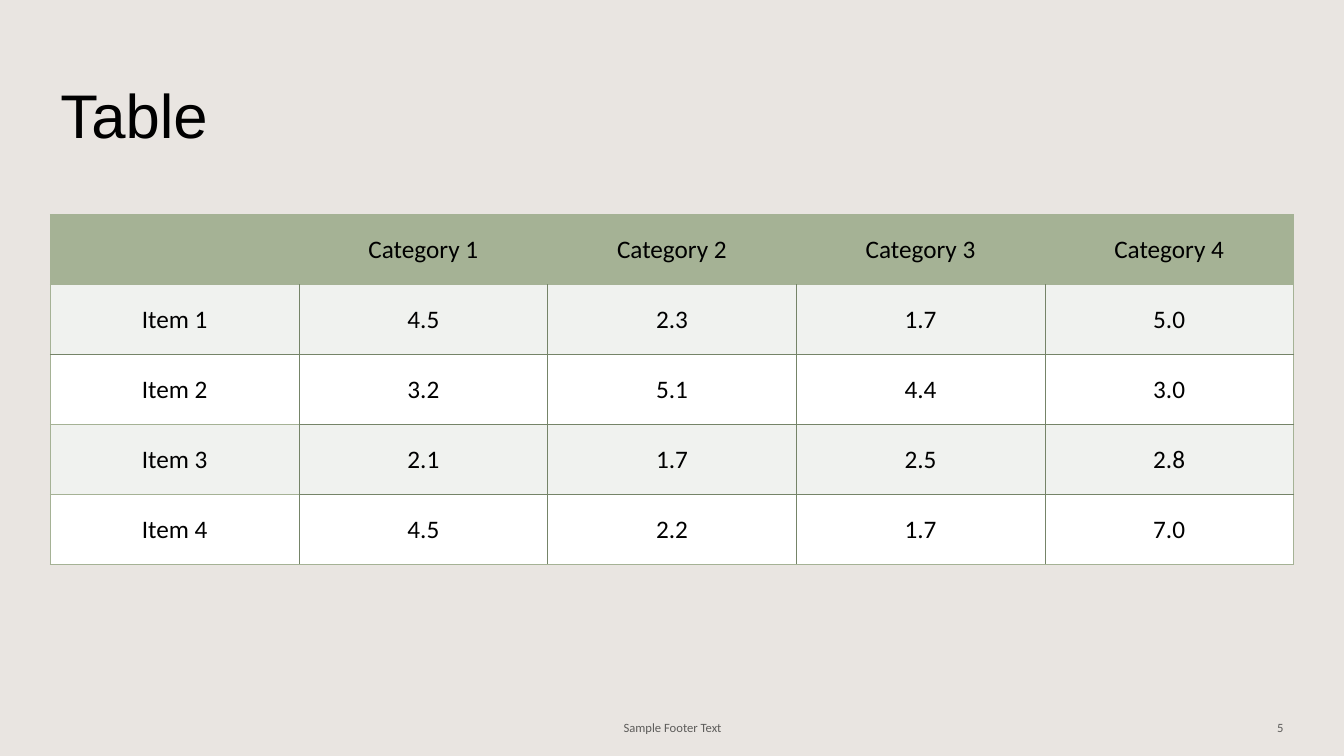
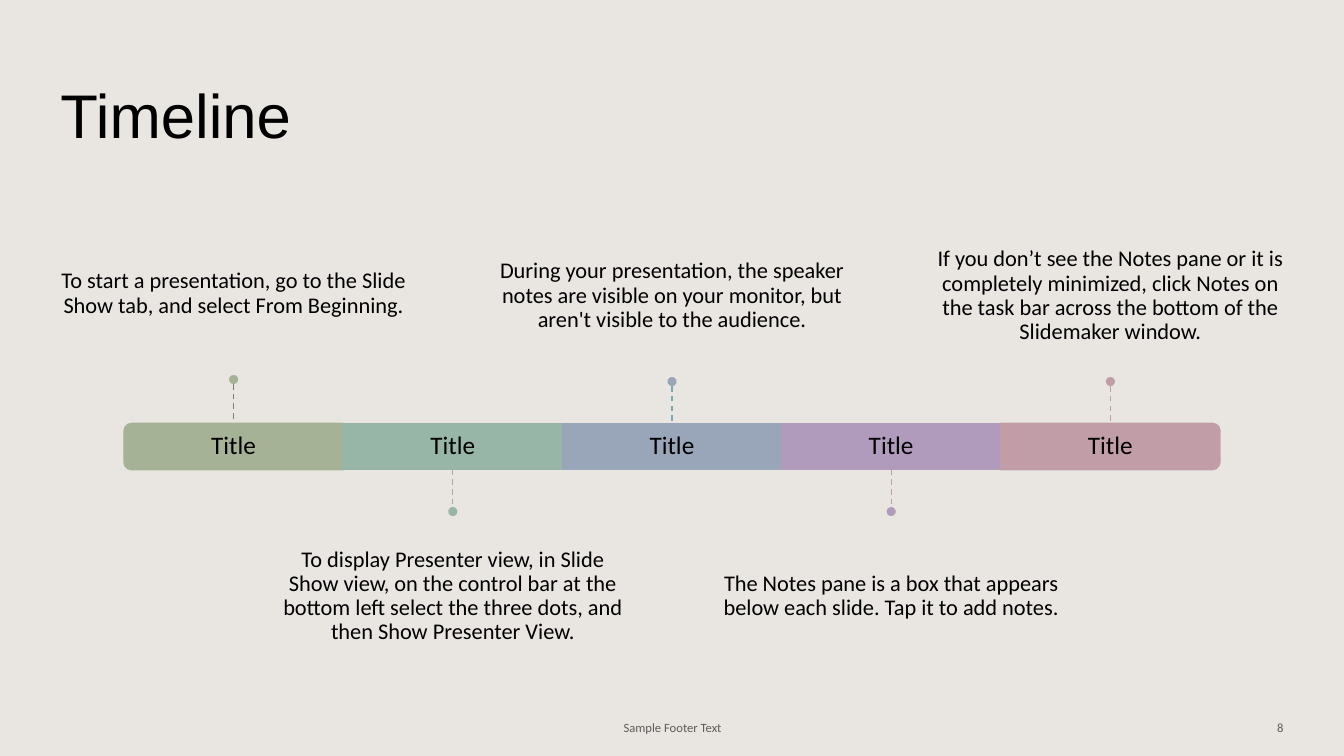
"""Build a table slide and a timeline slide that share one theme."""

from dataclasses import dataclass
from typing import Any, NamedTuple

from lxml.etree import SubElement
from pptx import Presentation
from pptx.dml.color import RGBColor as Rgb
from pptx.enum.dml import MSO_LINE_DASH_STYLE as Dash
from pptx.enum.shapes import MSO_CONNECTOR as Connector, MSO_SHAPE as Shape
from pptx.enum.text import MSO_ANCHOR as Anchor, MSO_AUTO_SIZE as AutoSize, PP_ALIGN as Align
from pptx.oxml import parse_xml
from pptx.oxml.ns import nsdecls, qn
from pptx.slide import Slide
from pptx.table import _Cell as Cell
from pptx.text.text import TextFrame
from pptx.util import Inches, Length, Pt


@dataclass(frozen=True)
class Theme:
    """Colours, fonts and type sizes of the deck."""

    background: Rgb = Rgb(0xE9, 0xE5, 0xE1)
    ink: Rgb = Rgb(0x00, 0x00, 0x00)
    muted: Rgb = Rgb(0x5D, 0x5C, 0x5A)
    white: Rgb = Rgb(0xFF, 0xFF, 0xFF)
    band: Rgb = Rgb(0xF0, 0xF2, 0xEF)
    moss: Rgb = Rgb(0x75, 0x84, 0x68)
    sage: Rgb = Rgb(0xA5, 0xB2, 0x95)
    mint: Rgb = Rgb(0x97, 0xB6, 0xA7)
    slate: Rgb = Rgb(0x99, 0xA6, 0xBA)
    teal: Rgb = Rgb(0x79, 0xA9, 0xB4)
    lilac: Rgb = Rgb(0xB1, 0x9B, 0xBD)
    rose: Rgb = Rgb(0xC1, 0x9D, 0xA7)
    heading_font: str = "Arial"
    body_font: str = "Calibri"
    title_size: Length = Pt(44)
    label_size: Length = Pt(18)
    note_size: Length = Pt(16)
    footer_size: Length = Pt(9)


THEME = Theme()


class Box(NamedTuple):
    """A rectangle in inches."""

    left: float
    top: float
    width: float
    height: float

    def lengths(self) -> list[Length]:
        """Return the rectangle as slide lengths."""
        return [Inches(value) for value in self]


@dataclass(frozen=True)
class TextStyle:
    """The look of one kind of text."""

    size: Length
    align: Align = Align.CENTER
    color: Rgb = THEME.ink
    font: str = THEME.body_font
    line_spacing: float = 1.0


@dataclass(frozen=True)
class Step:
    """One segment of the timeline with its note."""

    note: str
    color: Rgb
    stem_color: Rgb
    above: bool
    lift: float = 0.0


TITLE_STYLE = TextStyle(THEME.title_size, Align.LEFT, font=THEME.heading_font)
CELL_STYLE = TextStyle(THEME.label_size)
LABEL_STYLE = TextStyle(THEME.label_size, line_spacing=0.9)
NOTE_STYLE = TextStyle(THEME.note_size, line_spacing=0.9)
FOOTER_STYLE = TextStyle(THEME.footer_size, color=THEME.muted)
NUMBER_STYLE = TextStyle(THEME.footer_size, Align.RIGHT, THEME.muted)

TITLE_BOX = Box(0.5, 0.4, 11.92, 1.45)
FOOTER_BOX = Box(4.42, 7.02, 4.5, 0.4)
NUMBER_BOX = Box(9.83, 7.02, 3, 0.4)
TABLE_BOX = Box(0.5, 2.13, 12.33, 3.47)
BAR = Box(1.23, 4.2, 10.87, 0.46)
NOTE_WIDTH, NOTE_HEIGHT = 3.62, 1.61
NOTE_TOP_ABOVE, NOTE_TOP_BELOW = 2.13, 5.11
STEM_LENGTH, DOT_SIZE = 0.37, 0.09
TABLE_ROWS = [
    ["", "Category 1", "Category 2", "Category 3", "Category 4"],
    ["Item 1", "4.5", "2.3", "1.7", "5.0"],
    ["Item 2", "3.2", "5.1", "4.4", "3.0"],
    ["Item 3", "2.1", "1.7", "2.5", "2.8"],
    ["Item 4", "4.5", "2.2", "1.7", "7.0"],
]
STEPS = [
    Step("To start a presentation, go to the Slide Show tab, and select From Beginning.",
         THEME.sage, THEME.moss, True, 0.02),
    Step("To display Presenter view, in Slide Show view, on the control bar at the bottom left "
         "select the three dots, and then Show Presenter View.", THEME.mint, THEME.sage, False),
    Step("During your presentation, the speaker notes are visible on your monitor, "
         "but aren't visible to the audience.", THEME.slate, THEME.teal, True),
    Step("The Notes pane is a box that appears below each slide. Tap it to add notes.",
         THEME.lilac, THEME.rose, False),
    Step("If you don’t see the Notes pane or it is completely minimized, click Notes on the "
         "task bar across the bottom of the Slidemaker window.", THEME.rose, THEME.rose, True),
]


def apply_format(target: Any, values: dict[str, Any]) -> None:
    """Set each named attribute of the target."""
    for name, value in values.items():
        setattr(target, name, value)


def write_text(frame: TextFrame, text: str, style: TextStyle) -> None:
    """Write one styled paragraph into a text frame."""
    para = frame.paragraphs[0]
    apply_format(para, {"alignment": style.align, "line_spacing": style.line_spacing})
    span = para.add_run()
    span.text = text
    apply_format(span.font, {"name": style.font, "size": style.size, "bold": False})
    span.font.color.rgb = style.color


def add_text(page: Slide, box: Box, text: str, style: TextStyle,
             inset_x: float = 0.1, inset_y: float = 0.05) -> None:
    """Add a wrapped, vertically centred text box."""
    frame = page.shapes.add_textbox(*box.lengths()).text_frame
    apply_format(frame, {
        "word_wrap": True, "auto_size": AutoSize.NONE, "vertical_anchor": Anchor.MIDDLE,
        "margin_left": Inches(inset_x), "margin_right": Inches(inset_x),
        "margin_top": Inches(inset_y), "margin_bottom": Inches(inset_y),
    })
    write_text(frame, text, style)


def add_filled_shape(page: Slide, kind: Shape, box: Box, color: Rgb,
                     outlined: bool = True, rotation: float = 0) -> None:
    """Add a plain coloured shape."""
    shape = page.shapes.add_shape(kind, *box.lengths())
    shape.shadow.inherit = False
    shape.rotation = rotation
    shape.fill.solid()
    shape.fill.fore_color.rgb = color
    if outlined:
        shape.line.color.rgb = color
        shape.line.width = Pt(1)
    else:
        shape.line.fill.background()


def add_page(deck: Any, title: str, number: int) -> Slide:
    """Add a slide with the shared title and footer."""
    page = deck.slides.add_slide(deck.slide_layouts[5])
    heading = page.shapes.title
    apply_format(heading, dict(zip(TITLE_BOX._fields, TITLE_BOX.lengths())))
    apply_format(heading.text_frame, {
        "word_wrap": True, "auto_size": AutoSize.NONE, "vertical_anchor": Anchor.MIDDLE,
    })
    write_text(heading.text_frame, title, TITLE_STYLE)
    add_text(page, FOOTER_BOX, "Sample Footer Text", FOOTER_STYLE)
    add_text(page, NUMBER_BOX, str(number), NUMBER_STYLE)
    return page


def set_borders(cell: Cell, strong_edges: dict[str, bool]) -> None:
    """Draw strong or thin borders on the edges of a cell."""
    properties = cell._tc.get_or_add_tcPr()
    for index, (edge, strong) in enumerate(strong_edges.items()):
        color, width = (THEME.sage, Pt(1)) if strong else (THEME.moss, Pt(0.5))
        properties.insert(index, parse_xml(
            f'<a:ln{edge} {nsdecls("a")} w="{int(width)}"><a:solidFill>'
            f'<a:srgbClr val="{color}"/></a:solidFill></a:ln{edge}>'))


def add_data_table(page: Slide) -> None:
    """Add the banded table."""
    last_row, last_column = len(TABLE_ROWS) - 1, len(TABLE_ROWS[0]) - 1
    table = page.shapes.add_table(last_row + 1, last_column + 1, *TABLE_BOX.lengths()).table
    apply_format(table, {"first_row": False, "horz_banding": False})
    for row, texts in enumerate(TABLE_ROWS):
        header = row == 0
        fill = THEME.sage if header else THEME.band if row % 2 else THEME.white
        for column, text in enumerate(texts):
            cell, first = table.cell(row, column), column == 0
            cell.vertical_anchor = Anchor.MIDDLE
            cell.fill.solid()
            cell.fill.fore_color.rgb = fill
            if text:
                write_text(cell.text_frame, text, CELL_STYLE)
            set_borders(cell, {
                "L": header or first,
                "R": header or column == last_column,
                "T": row <= 1 or (first and row >= 3),
                "B": header or row == last_row or (first and row >= 2),
            })


def add_stem(page: Slide, center: float, step: Step) -> None:
    """Add the dashed stem and dot that point to a note."""
    if step.above:
        start = BAR.top - STEM_LENGTH - step.lift
        dot_top = start - DOT_SIZE
    else:
        start = BAR.top + BAR.height
        dot_top = start + STEM_LENGTH
    stem = page.shapes.add_connector(
        Connector.STRAIGHT, Inches(center), Inches(start),
        Inches(center), Inches(start + STEM_LENGTH))
    apply_format(stem.line, {"width": Pt(1), "dash_style": Dash.DASH})
    stem.line.color.rgb = step.stem_color
    SubElement(stem._element.spPr, qn("a:effectLst"))
    dot = Box(center - DOT_SIZE / 2, dot_top, DOT_SIZE, DOT_SIZE)
    add_filled_shape(page, Shape.OVAL, dot, step.color, outlined=False)


def add_timeline(page: Slide) -> None:
    """Add the segmented bar with notes above and below."""
    width = BAR.width / len(STEPS)
    end_rotations = {0: 270, len(STEPS) - 1: 90}
    for index, step in enumerate(STEPS):
        segment = Box(BAR.left + index * width, BAR.top, width, BAR.height)
        center = segment.left + width / 2
        if index in end_rotations:
            upright = Box(center - BAR.height / 2, BAR.top + (BAR.height - width) / 2,
                          BAR.height, width)
            add_filled_shape(page, Shape.ROUND_2_SAME_RECTANGLE, upright, step.color,
                             rotation=end_rotations[index])
        else:
            add_filled_shape(page, Shape.RECTANGLE, segment, step.color)
        add_text(page, segment, "Title", LABEL_STYLE, 0.04, 0)
        note_top = NOTE_TOP_ABOVE - step.lift if step.above else NOTE_TOP_BELOW
        note = Box(center - NOTE_WIDTH / 2, note_top, NOTE_WIDTH, NOTE_HEIGHT)
        add_text(page, note, step.note, NOTE_STYLE, 0.06, 0.03)
        add_stem(page, center, step)


def main() -> None:
    """Build and save the deck."""
    deck = Presentation()
    apply_format(deck, {"slide_width": Inches(13.33), "slide_height": Inches(7.5)})
    backdrop = deck.slide_master.background.fill
    backdrop.solid()
    backdrop.fore_color.rgb = THEME.background
    add_data_table(add_page(deck, "Table", 5))
    add_timeline(add_page(deck, "Timeline", 8))
    deck.save("out.pptx")


if __name__ == "__main__":
    main()
